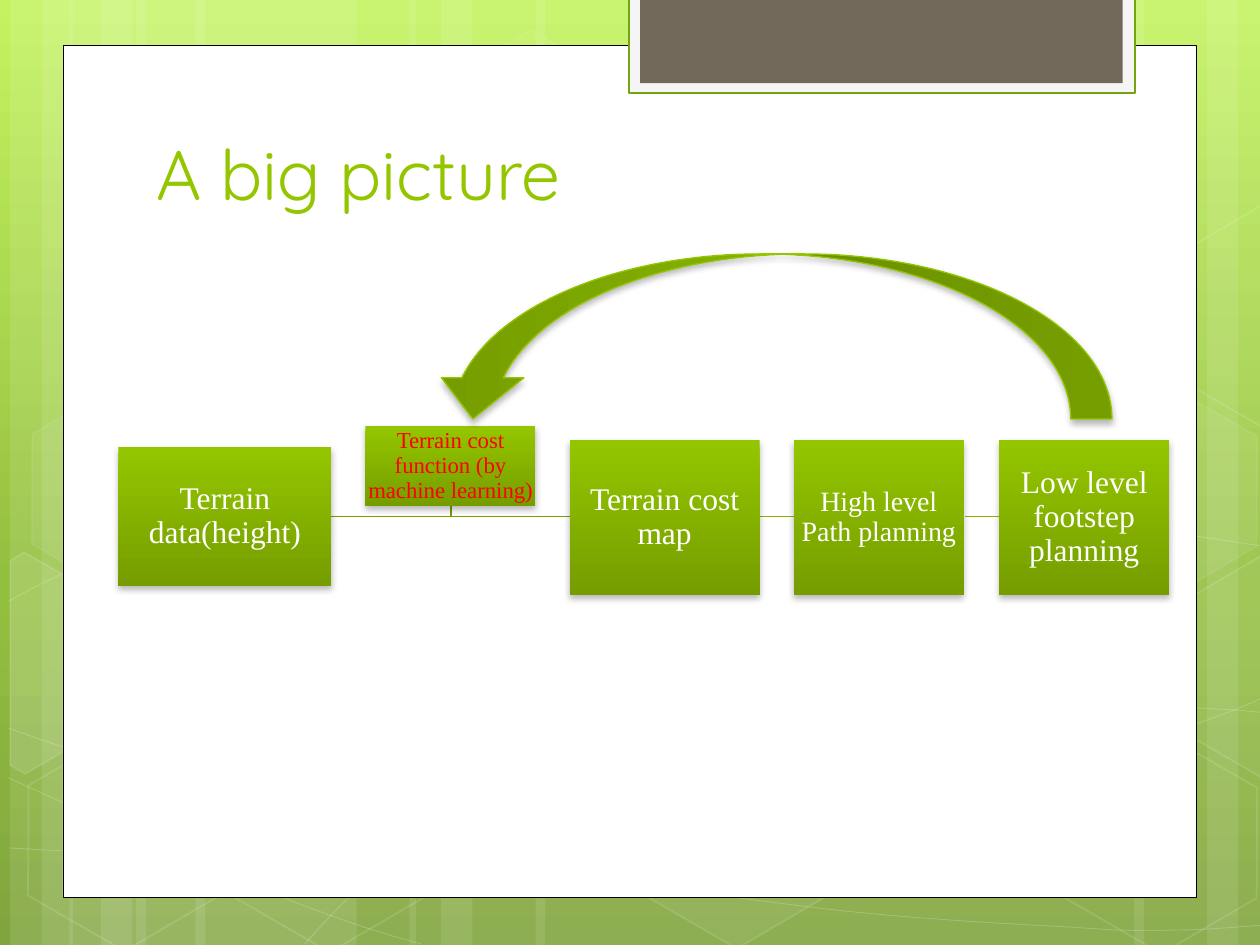
from math import cos, radians, sin
from typing import NamedTuple, Optional

from lxml.etree import SubElement
from pptx import Presentation
from pptx.dml.color import RGBColor
from pptx.enum.shapes import MSO_SHAPE as Geo
from pptx.enum.text import MSO_ANCHOR as Anchor, PP_ALIGN as Align
from pptx.oxml.ns import qn
from pptx.util import Inches, Pt


class Theme(NamedTuple):
    white: str = "FFFFFF"
    black: str = "000000"
    green: str = "94C600"
    dark_green: str = "769D00"
    link: str = "779F00"
    short_link: str = "86B400"
    tab: str = "F5F5F5"
    tab_line: str = "74A510"
    tab_core: str = "71685A"
    alert: str = "FF0000"
    backdrop: tuple = ((0, "C3F35F"), (62, "93BF3F"), (100, "81A53E"))
    title_font: str = "Quicksand"
    body_font: str = "Times New Roman"
    title_size: int = 40
    step_size: int = 18
    path_size: int = 16
    note_size: int = 13


class Box(NamedTuple):
    left: float
    top: float
    width: float
    height: float


class Hexagon(NamedTuple):
    left: float
    top: float
    fill_alpha: int
    line_alpha: int


class CutHexagon(NamedTuple):
    center: tuple
    points: tuple
    fill_alpha: int


class Step(NamedTuple):
    text: str
    box: Box
    size: int
    color: str = Theme().white


class Wire(NamedTuple):
    points: tuple
    color: str
    top: float = 4.05


T = Theme()
AXIS, TILT = 4.1, 30
BANDS = ((1.08, 1.75), (0.08, 0.5), (0.33, 0.83), (1.55, 1.75), (0.55, 0.5), (0.8, 0.83),
         (7.33, 1.75), (9.58, 0.5), (9, 0.83), (4.25, 3.08), (3.25, 0.5), (3.5, 0.83))
# Each curve: a start point, then Bezier points in threes.
CURVES = (
    ((0.07, 6.73), (0.61, 6.76), (1.15, 6.79), (1.9, 6.78), (2.65, 6.77), (3.58, 6.75), (4.58, 6.65),
     (5.58, 6.55), (7, 6.36), (7.92, 6.17), (8.83, 5.98), (9.77, 5.68), (10.07, 5.51)),
    ((0.07, 4.77), (0.36, 4.61), (0.65, 4.46), (1.21, 4.31), (1.78, 4.16), (2.59, 3.94), (3.47, 3.87),
     (4.36, 3.8), (5.44, 3.79), (6.54, 3.87), (7.64, 3.95), (9.47, 4.26), (10.07, 4.34)),
    ((0.06, 6.17), (1.27, 6.72), (2.47, 7.27), (3.34, 7.49)),
    ((0.07, 5.78), (0.38, 5.89), (0.7, 6), (1.28, 6.16), (1.86, 6.31), (2.73, 6.56), (3.57, 6.73),
     (4.4, 6.9), (5.45, 7.08), (6.28, 7.18), (7.11, 7.29), (8, 7.33), (8.53, 7.36),
     (9.05, 7.4), (9.19, 7.38), (9.45, 7.38), (9.71, 7.37), (9.89, 7.35), (10.07, 7.34)),
    ((2.42, 7.49), (2.6, 7.29), (2.78, 7.09), (3.02, 6.91), (3.26, 6.73), (3.6, 6.53), (3.88, 6.39),
     (4.16, 6.25), (4.33, 6.19), (4.7, 6.09), (5.06, 5.99), (5.73, 5.85), (6.08, 5.78),
     (6.44, 5.71), (6.49, 5.71), (6.8, 5.69), (7.11, 5.66), (7.6, 5.63), (7.94, 5.62),
     (8.29, 5.61), (8.86, 5.62), (8.86, 5.62), (9.08, 5.62), (9.31, 5.62), (9.53, 5.62),
     (9.71, 5.63), (9.88, 5.64), (9.97, 5.65), (10.06, 5.66), (10.03, 5.65), (10.06, 5.66)),
)
HEXAGONS = (
    Hexagon(3.34, 0.36, 4, 8), Hexagon(4.97, 5.89, 6, 12), Hexagon(0.11, 5.91, 0, 12),
    Hexagon(0.14, 3.12, 7, 8), Hexagon(1.74, 5.92, 0, 12), Hexagon(7.53, 4.53, 10, 12),
    Hexagon(8.34, 5.93, 0, 12), Hexagon(8.34, 3.14, 7, 8),
)
CUT_HEXAGONS = (
    CutHexagon((0.36, 5.35), ((0.08, 4.45), (0.19, 4.38), (0.96, 4.82), (0.95, 5.7), (0.2, 6.14), (0.08, 6.07)), 10),
    CutHexagon((9.85, 5.2), ((9.26, 4.85), (10.01, 4.41), (10.09, 4.46), (10.09, 6.13), (10.02, 6.17), (9.26, 5.73)), 4),
    CutHexagon((9.85, 2.41), ((9.26, 2.07), (10.01, 1.63), (10.1, 1.68), (10.09, 3.35), (10.02, 3.39), (9.26, 2.95)), 0),
)
WIRES = (
    Wire(((2.63, AXIS), (3.58, AXIS), (3.58, 4.02)), T.link, 3.97),
    Wire(((7.66, AXIS), (7.93, AXIS)), T.short_link),
    Wire(((6.03, AXIS), (6.3, AXIS)), T.short_link),
    Wire(((2.63, AXIS), (4.52, AXIS)), T.link),
)
STEPS = (
    Step("Terrain data(height)", Box(0.94, 3.55, 1.69, 1.1), T.step_size),
    Step("Terrain cost map", Box(4.52, 3.49, 1.51, 1.23), T.step_size),
    Step("High level Path planning", Box(6.3, 3.49, 1.35, 1.23), T.path_size),
    Step("Low level footstep planning", Box(7.93, 3.49, 1.35, 1.23), T.step_size),
    Step("Terrain cost function (by machine learning)", Box(2.9, 3.38, 1.35, 0.64), T.note_size, T.alert),
)


def set_alpha(color, percent: int) -> None:
    if percent < 100:
        SubElement(color, qn("a:alpha"), val=str(percent * 1000))


def paint(s, fill: Optional[str] = None, alpha: int = 100, line: Optional[str] = None,
          weight: float = 1, line_alpha: int = 100) -> None:
    """Set a plain fill and line; either is left off when it has no colour."""
    s.shadow.inherit = False
    s.fill.background()
    s.line.fill.background()
    if fill and alpha:
        s.fill.solid()
        s.fill.fore_color.rgb = RGBColor.from_string(fill)
        set_alpha(s.element.spPr.find(qn("a:solidFill"))[0], alpha)
    if line:
        s.line.color.rgb = RGBColor.from_string(line)
        s.line.width = Pt(weight)
        set_alpha(s.element.spPr.find(qn("a:ln")).find(qn("a:solidFill"))[0], line_alpha)


def set_gradient(fill, root, stops: tuple) -> None:
    """Fill from top to bottom; root is the element that holds the fill."""
    fill.gradient()
    fill.gradient_angle = 270
    stop_list = next(root.iter(qn("a:gsLst")))
    for old in list(stop_list):
        stop_list.remove(old)
    for position, color in stops:
        stop = SubElement(stop_list, qn("a:gs"), pos=str(position * 1000))
        SubElement(stop, qn("a:srgbClr"), val=color)


def add_preset(slide, geo: Geo, box: Box):
    return slide.shapes.add_shape(geo, *map(Inches, box))


def add_green(slide, geo: Geo, box: Box, line: Optional[str] = None):
    """Add a green gradient shape with a soft shadow below it."""
    s = add_preset(slide, geo, box)
    paint(s, line=line, weight=0.75)
    set_gradient(s.fill, s.element.spPr, ((0, T.green), (100, T.dark_green)))
    shadow = SubElement(s.element.spPr.find(qn("a:effectLst")), qn("a:outerShdw"), blurRad=str(Pt(4)),
                        dist=str(Pt(2)), dir="5400000", rotWithShape="0")
    set_alpha(SubElement(shadow, qn("a:srgbClr"), val=T.black), 28)
    return s


def add_outline(slide, points, close: bool = False):
    start, *rest = [(Inches(x), Inches(y)) for x, y in points]
    builder = slide.shapes.build_freeform(*start)
    builder.add_line_segments(rest, close=close)
    return builder.convert_to_shape()


def add_curve(slide, points: tuple) -> None:
    s = add_outline(slide, points)
    route = next(s.element.iter(qn("a:path")))
    lines = route.findall(qn("a:lnTo"))
    for i in range(0, len(lines), 3):
        bezier = SubElement(route, qn("a:cubicBezTo"))
        for segment in lines[i:i + 3]:
            bezier.append(segment[0])
            route.remove(segment)
    paint(s, line=T.white, weight=0.5, line_alpha=20)


def add_cut_hexagon(slide, h: CutHexagon) -> None:
    """Lay the outline level about its centre, then tilt the shape."""
    (cx, cy), c, d = h.center, cos(radians(TILT)), sin(radians(TILT))
    level = [(cx + (x - cx) * c + (y - cy) * d, cy + (y - cy) * c - (x - cx) * d) for x, y in h.points]
    s = add_outline(slide, level, close=True)
    s.rotation = TILT
    paint(s, T.white, h.fill_alpha, T.white, 1, 12)


def add_wire(slide, wire: Wire) -> None:
    """Draw the line in a frame 0.1 inches high that starts at wire.top."""
    s = add_outline(slide, wire.points)
    shift = s.top - Inches(wire.top)
    s.top, s.height = Inches(wire.top), Inches(0.1)
    route = next(s.element.iter(qn("a:path")))
    route.set("h", str(s.height))
    for point in route.iter(qn("a:pt")):
        point.set("y", str(int(point.get("y")) + shift))
    paint(s, line=wire.color, weight=0.75)


def set_text(tf, text: str, font: str, size: int, color: str, anchor: Anchor):
    tf.word_wrap, tf.vertical_anchor = True, anchor
    p = tf.paragraphs[0]
    p.text, p.font.name, p.font.size = text, font, Pt(size)
    p.font.color.rgb = RGBColor.from_string(color)
    return p


def add_step(slide, step: Step) -> None:
    tf = add_green(slide, Geo.RECTANGLE, step.box).text_frame
    tf.margin_left = tf.margin_right = tf.margin_top = tf.margin_bottom = Inches(0.01)
    p = set_text(tf, step.text, T.body_font, step.size, step.color, Anchor.MIDDLE)
    p.alignment, p.line_spacing = Align.CENTER, 0.9


def add_backdrop(slide) -> None:
    set_gradient(slide.background.fill, slide.element, T.backdrop)
    for left, width in BANDS:
        paint(add_preset(slide, Geo.RECTANGLE, Box(left, 0, width, 7.5)), T.white, 10)
    for curve in CURVES:
        add_curve(slide, curve)
    for h in HEXAGONS:
        s = add_preset(slide, Geo.HEXAGON, Box(h.left, h.top, 1.75, 1.52))
        s.adjustments[0], s.rotation = 0.285, TILT
        paint(s, T.white, h.fill_alpha, T.white, 1, h.line_alpha)
    for h in CUT_HEXAGONS:
        add_cut_hexagon(slide, h)
    paint(add_preset(slide, Geo.RECTANGLE, Box(0.5, 0.36, 9, 6.76)), T.white, line=T.black, weight=0.5)
    paint(add_preset(slide, Geo.RECTANGLE, Box(4.99, -0.02, 4.02, 0.76)), T.tab, line=T.tab_line, weight=1.25)
    paint(add_preset(slide, Geo.RECTANGLE, Box(5.08, -0.02, 3.83, 0.68)), T.tab_core)


prs = Presentation()
prs.slide_width, prs.slide_height = Inches(10), Inches(7.5)
slide = prs.slides.add_slide(prs.slide_layouts[6])
add_backdrop(slide)
title = slide.shapes.add_textbox(*map(Inches, Box(1.14, 0.5, 7.68, 1.25)))
set_text(title.text_frame, "A big picture", T.title_font, T.title_size, T.green, Anchor.BOTTOM)
for wire in WIRES:
    add_wire(slide, wire)
for step in STEPS:
    add_step(slide, step)
add_green(slide, Geo.CURVED_RIGHT_ARROW, Box(5.47, -0.03, 1.31, 5.4), T.green).rotation = 90
prs.save("out.pptx")
